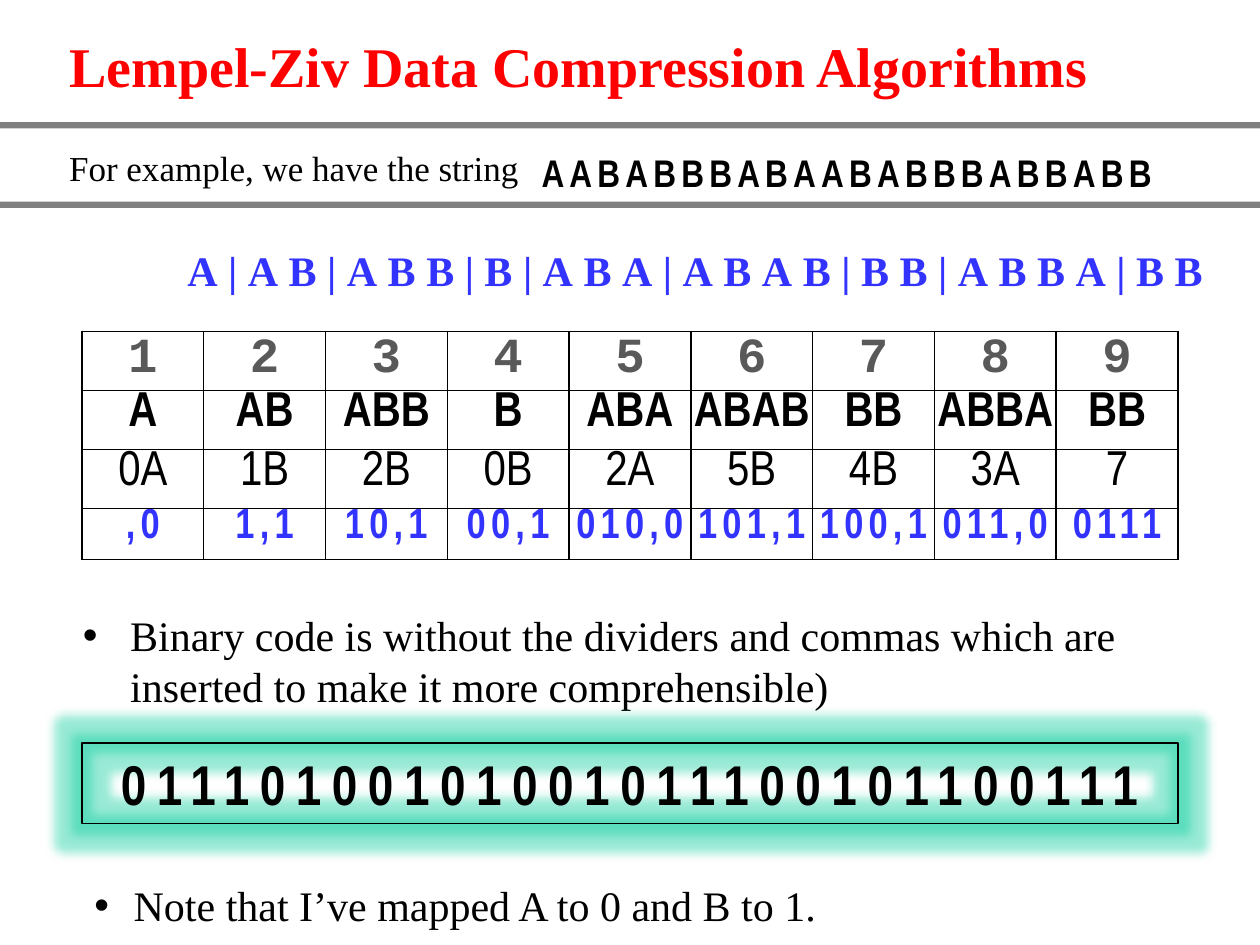
"""Build the slide on Lempel-Ziv data compression."""
from lxml.etree import SubElement as Sub
from pptx import Presentation
from pptx.dml.color import RGBColor as RGB
from pptx.enum.shapes import MSO_SHAPE as Shape
from pptx.enum.text import MSO_ANCHOR as Anchor, MSO_AUTO_SIZE as Auto, PP_ALIGN as Align
from pptx.oxml.ns import qn
from pptx.util import Pt

HUES = {"red": "FF0000", "black": "000000", "blue": "3333FF",
        "gray": "808080", "dark": "595959", "teal": "00CC99"}
TIMES, NARROW, MONO = "Times New Roman", "Arial Narrow", "Courier New"


def write(frame, words, size, face, hue="black", bold=False, gap=0,
          align=Align.LEFT, hang=0, dot=False):
    para = frame.paragraphs[0]
    para.alignment = align
    props = para._p.get_or_add_pPr()
    if hang:
        props.set("marL", str(Pt(hang)))
        props.set("indent", str(-Pt(hang)))
    if dot:
        Sub(props, qn("a:buFont"), typeface="Arial")
        Sub(props, qn("a:buChar"), char="•")
    run = para.add_run()
    run.text = words
    form = {"size": Pt(size), "name": face, "bold": bold}
    for key, value in form.items():
        setattr(run.font, key, value)
    run.font.color.rgb = RGB.from_string(HUES[hue])
    if gap:
        run._r.get_or_add_rPr().set("spc", str(gap * 100))


deck = Presentation()
deck.slide_width, deck.slide_height = Pt(720), Pt(540)
slide = deck.slides.add_slide(deck.slide_layouts[5])
shapes = slide.shapes

title = shapes.title
place = {"left": 32.4, "top": 4.3, "width": 639.4, "height": 65.5}
for key, value in place.items():
    setattr(title, key, Pt(value))
title.text_frame.auto_size = Auto.NONE
title.text_frame.vertical_anchor = Anchor.MIDDLE
write(title.text_frame, "Lempel-Ziv Data Compression Algorithms", 32, TIMES,
      "red", True, hang=27)

for top in (69.8, 115.2):
    bar = shapes.add_shape(Shape.RECTANGLE, 0, Pt(top), Pt(720), Pt(3.6))
    bar.shadow.inherit = False
    bar.fill.solid()
    bar.fill.fore_color.rgb = RGB.from_string(HUES["gray"])
    bar.line.fill.background()

texts = [
    ((32.4, 80, 277, 31.5), "For example, we have the string",
     {"size": 20}),
    ((302.4, 81.4, 369.4, 33.9), "AABABBBABAABABBBABBABB",
     {"size": 22, "face": NARROW, "bold": True, "gap": 3}),
    ((100, 136, 604, 36.3), "A|AB|ABB|B|ABA|ABAB|BB|ABBA|BB",
     {"size": 24, "hue": "blue", "bold": True, "gap": 6}),
    ((40.3, 345, 639.4, 65.4),
     "Binary code is without the dividers and commas which are "
     "inserted to make it more comprehensible)",
     {"size": 24, "hang": 27, "dot": True}),
    ((46.8, 499, 626.4, 36.3), "Note that I’ve mapped A to 0 and B to 1.",
     {"size": 24, "hang": 22.5, "dot": True}),
]
for box, words, form in texts:
    frame = shapes.add_textbox(*map(Pt, box)).text_frame
    frame.word_wrap = True
    frame.auto_size = Auto.SHAPE_TO_FIT_TEXT
    write(frame, words, **{"face": TIMES, **form})

rows = [
    ("1 2 3 4 5 6 7 8 9", 33.7,
     {"size": 28, "face": MONO, "hue": "dark", "bold": True}),
    ("A AB ABB B ABA ABAB BB ABBA BB", 33.7,
     {"size": 28, "face": NARROW, "bold": True}),
    ("0A 1B 2B 0B 2A 5B 4B 3A 7", 33.7,
     {"size": 28, "face": NARROW}),
    (",0 1,1 10,1 00,1 010,0 101,1 100,1 011,0 0111", 29.2,
     {"size": 24, "face": NARROW, "hue": "blue", "bold": True, "gap": 3}),
]
table = shapes.add_table(4, 9, Pt(46.8), Pt(189.4), Pt(626.4), Pt(130.3)).table
table.first_row = table.horz_banding = False
for col in table.columns:
    col.width = Pt(69.6)
for row, (words, height, form) in zip(table.rows, rows):
    row.height = Pt(height)
    for cell, word in zip(row.cells, words.split()):
        for side in ("left", "right", "top", "bottom"):
            setattr(cell, f"margin_{side}", 0)
        props = cell._tc.get_or_add_tcPr()
        for edge in ("lnL", "lnR", "lnT", "lnB"):
            line = Sub(props, qn(f"a:{edge}"), w=str(Pt(1)))
            Sub(Sub(line, qn("a:solidFill")), qn("a:srgbClr"), val=HUES["black"])
        cell.fill.background()
        write(cell.text_frame, word, align=Align.CENTER, **form)

code = shapes.add_shape(Shape.RECTANGLE, Pt(46.8), Pt(424.6), Pt(626.4), Pt(46))
code.shadow.inherit = False
code.fill.background()
code.line.color.rgb = RGB.from_string(HUES["black"])
code.line.width = Pt(1)
glow = Sub(code._element.spPr.find(qn("a:effectLst")), qn("a:glow"), rad=str(Pt(11)))
Sub(Sub(glow, qn("a:srgbClr"), val=HUES["teal"]), qn("a:alpha"), val="40000")
code.text_frame.word_wrap = True
code.text_frame.auto_size = Auto.SHAPE_TO_FIT_TEXT
code.text_frame.vertical_anchor = Anchor.MIDDLE
write(code.text_frame, "01110100101001011100101100111", 32, NARROW,
      bold=True, gap=6, align=Align.CENTER)

deck.save("out.pptx")
